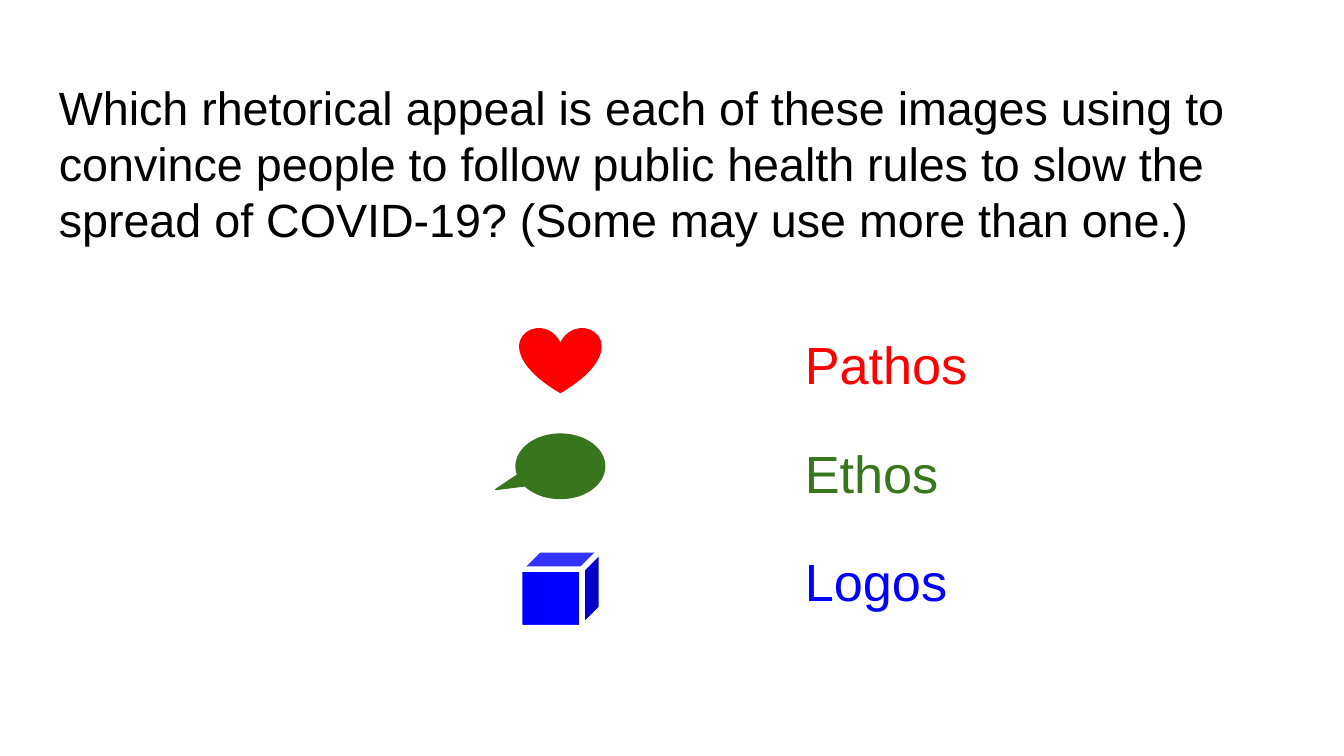
from pptx import Presentation
from pptx.dml.color import RGBColor
from pptx.enum.shapes import MSO_SHAPE
from pptx.enum.text import MSO_ANCHOR
from pptx.util import Inches, Pt

THEME = {
    "font": "Arial", "question": 25, "label": 28,
    "black": "000000", "white": "FFFFFF",
    "red": "FF0000", "green": "38761D", "blue": "0000FF",
}

# Widescreen 16:9 slide
WIDTH = 10
prs = Presentation()
prs.slide_width, prs.slide_height = Inches(WIDTH), Inches(WIDTH * 9 / 16)
s = prs.slides.add_slide(prs.slide_layouts[6])


def color(name):
    return RGBColor.from_string(THEME[name])


def add_text(text, left, top, width, height, size, fill, indent=0):
    sp = s.shapes.add_textbox(*map(Inches, (left, top, width, height)))
    tf = sp.text_frame
    tf.word_wrap = True
    tf.vertical_anchor = MSO_ANCHOR.TOP
    tf.margin_left = tf.margin_right = Inches(0.1)
    tf.margin_top = tf.margin_bottom = Inches(0.1)
    p = tf.paragraphs[0]
    p.text = text
    if indent:
        pPr = p._p.get_or_add_pPr()
        pPr.set("marL", str(Inches(indent)))
        pPr.set("indent", "0")
    font = p.runs[0].font
    font.name, font.size = THEME["font"], Pt(THEME[size])
    font.color.rgb = color(fill)


# Question across the top, with equal side margins
MARGIN = 0.34
add_text("Which rhetorical appeal is each of these images using to convince "
         "people to follow public health rules to slow the spread of COVID-19? "
         "(Some may use more than one.)",
         MARGIN, 0.49, WIDTH - 2 * MARGIN, 0.63, "question", "black")

# Icon column: every icon is centred on one vertical axis
ICON_X = 4.17
icons = [  # shape, centre y, width, height, adjustments, fill, line, line width
    (MSO_SHAPE.HEART, 2.68, 0.6, 0.48, [], "red", "red", 0.75),
    (MSO_SHAPE.OVAL_CALLOUT, 3.47, 0.66, 0.48, [-0.73, 0.36],
     "green", "green", 0.75),
    (MSO_SHAPE.CUBE, 4.38, 0.61, 0.58, [0.25], "blue", "white", 3),
]
for kind, y, w, h, adjustments, fill, line, line_width in icons:
    sp = s.shapes.add_shape(kind, Inches(ICON_X - w / 2), Inches(y - h / 2),
                            Inches(w), Inches(h))
    for i, value in enumerate(adjustments):
        sp.adjustments[i] = value
    sp.shadow.inherit = False
    sp.fill.solid()
    sp.fill.fore_color.rgb = color(fill)
    sp.line.color.rgb = color(line)
    sp.line.width = Pt(line_width)

# Label column: equal row steps; an indented label starts further left
LABEL_X, LABEL_Y, ROW = 5.89, 2.37, 0.81
labels = [  # text, width, height, colour, indent
    ("Pathos", 2.36, 0.63, "red", 0.5),
    ("Ethos", 1.51, 0.63, "green", 0),
    ("Logos", 1.95, 0.79, "blue", 0),
]
for row, (text, w, h, fill, indent) in enumerate(labels):
    add_text(text, LABEL_X - indent, LABEL_Y + row * ROW, w, h,
             "label", fill, indent)

prs.save("out.pptx")
